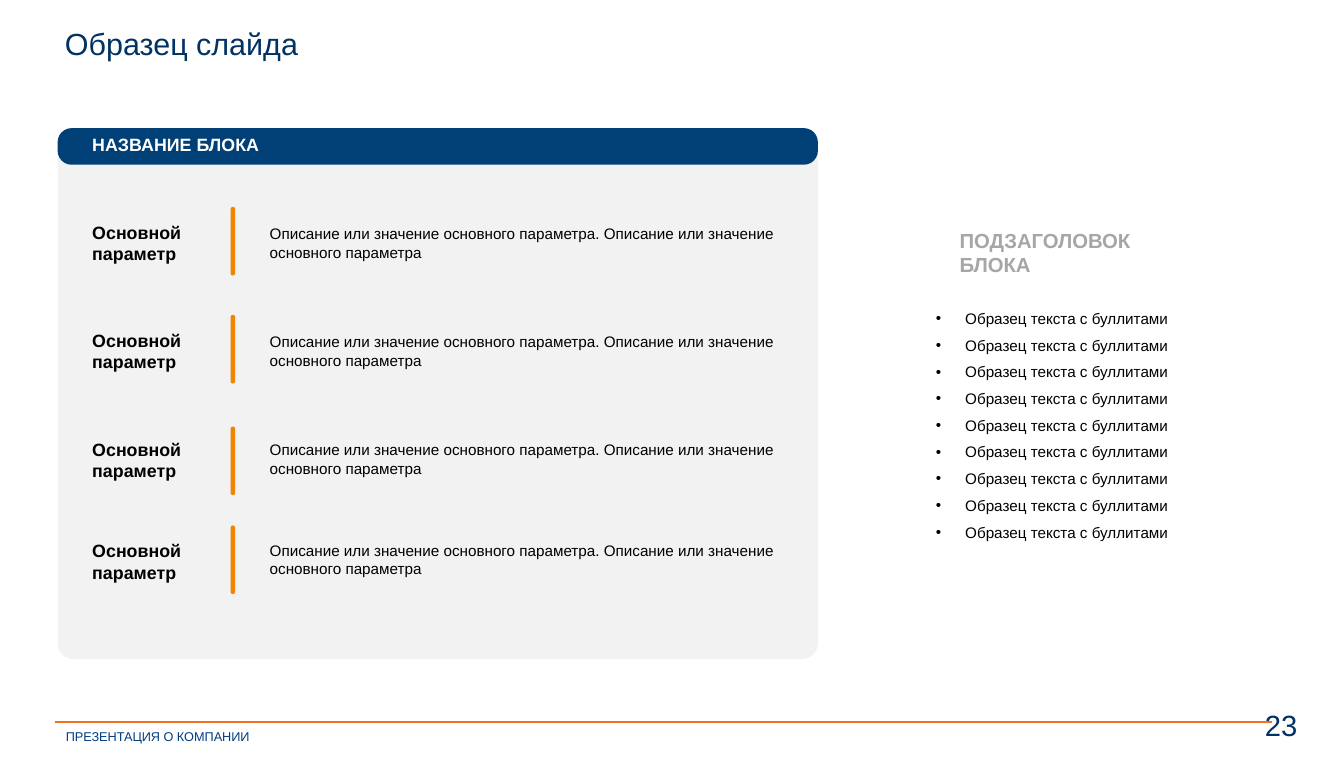
"""Build a slide with a block of four main parameters and a bullet list."""
from dataclasses import dataclass

from lxml.etree import SubElement
from pptx import Presentation
from pptx.dml.color import RGBColor as Color
from pptx.enum.shapes import MSO_CONNECTOR as Link, MSO_SHAPE as Kind
from pptx.enum.text import MSO_ANCHOR as Anchor, PP_ALIGN as Align
from pptx.oxml.ns import qn
from pptx.util import Inches, Pt


@dataclass(frozen=True)
class Theme:
    face: str = "Arial"
    navy: str = "003264"
    blue: str = "003D80"
    head: str = "004076"
    panel: str = "F2F2F2"
    bar: str = "F18400"
    rule: str = "F37021"
    gray: str = "A6A6A6"
    black: str = "000000"
    white: str = "FFFFFF"
    title: int = 24
    page: int = 23
    sub: int = 16
    label: int = 14
    body: int = 12
    foot: int = 10


theme = Theme()
deck = Presentation()
deck.slide_width, deck.slide_height = Inches(14.69), Inches(8.27)
slide = deck.slides.add_slide(deck.slide_layouts[6])
shapes = slide.shapes


def write(area, text, size, tint, bold=False, anchor=Anchor.TOP, pad=(0.1, 0.05), wrap=True):
    box = shapes.add_textbox(*map(Inches, area))
    frame = box.text_frame
    frame.word_wrap = wrap
    frame.vertical_anchor = anchor
    frame.margin_left = frame.margin_right = Inches(pad[0])
    frame.margin_top = frame.margin_bottom = Inches(pad[1])
    frame.text = text
    for para in frame.paragraphs:
        for run in para.runs:
            font = run.font
            font.name, font.size, font.bold = theme.face, Pt(size), bold
            font.color.rgb = Color.from_string(tint)
    return frame


def draw(kind, area, tint, *turns):
    shape = shapes.add_shape(kind, *map(Inches, area))
    shape.shadow.inherit = False
    shape.fill.solid()
    shape.fill.fore_color.rgb = Color.from_string(tint)
    shape.line.fill.background()
    for i, turn in enumerate(turns):
        shape.adjustments[i] = turn


rule = shapes.add_connector(Link.STRAIGHT, Inches(0.6), Inches(7.89), Inches(13.9), Inches(7.89))
rule.line.color.rgb = Color.from_string(theme.rule)
rule.line.width = Pt(1.5)
SubElement(rule._element.spPr, qn("a:effectLst"))

write((0.6, 7.9, 2.3, 0.29), "ПРЕЗЕНТАЦИЯ О КОМПАНИИ", theme.foot, theme.blue,
      pad=(0.12, 0.06), wrap=False)
page = write((11.81, 7.67, 2.49, 0.51), "23", theme.page, theme.navy, pad=(0.12, 0.06))
page.paragraphs[0].alignment = Align.RIGHT
title = write((0.6, 0.26, 12.59, 0.48), "Образец слайда", theme.title, theme.navy,
              anchor=Anchor.MIDDLE, pad=(0.11, 0.06))
title.paragraphs[0].line_spacing = 0.9

draw(Kind.ROUNDED_RECTANGLE, (0.63, 1.4, 8.31, 5.8), theme.panel, 0.03)
draw(Kind.ROUNDED_RECTANGLE, (0.63, 1.4, 8.31, 0.4), theme.head, 0.38)
write((0.91, 1.41, 2.05, 0.34), "НАЗВАНИЕ БЛОКА", theme.label, theme.white, True, wrap=False)

note = " ".join(["Описание или значение основного параметра"] * 2).replace("параметра О", "параметра. О")
rows = [(2.14, 2.26, 2.14), (3.32, 3.44, 3.32), (4.51, 4.66, 4.5), (5.62, 5.74, 5.6)]
for label, bar, text in rows:
    write((0.91, label, 1.52, 1.03), "Основной\nпараметр", theme.label, theme.black, True, Anchor.MIDDLE)
    draw(Kind.ROUND_2_SAME_RECTANGLE, (2.52, bar, 0.05, 0.75), theme.bar, 0.5, 0.5)
    body = write((2.85, text, 5.74, 1.03), note, theme.body, theme.black, anchor=Anchor.MIDDLE)
    body.paragraphs[0].space_after = Pt(3.3)

write((10.39, 2.44, 3.19, 0.34), "ПОДЗАГОЛОВОК\nБЛОКА", theme.sub, theme.gray, True)
items = write((10.04, 2.87, 3.54, 3.55), "\n".join(["Образец текста с буллитами"] * 9),
              theme.body, theme.black, anchor=Anchor.MIDDLE)
items.margin_left = Inches(0.19)
for para in items.paragraphs:
    para.space_after = Pt(6.6)
    props = para._p.get_or_add_pPr()
    props.set("marL", str(Inches(0.32)))
    props.set("indent", str(-Inches(0.32)))
    SubElement(props, qn("a:buFont"), typeface=theme.face)
    SubElement(props, qn("a:buChar"), char="•")

deck.save("out.pptx")
